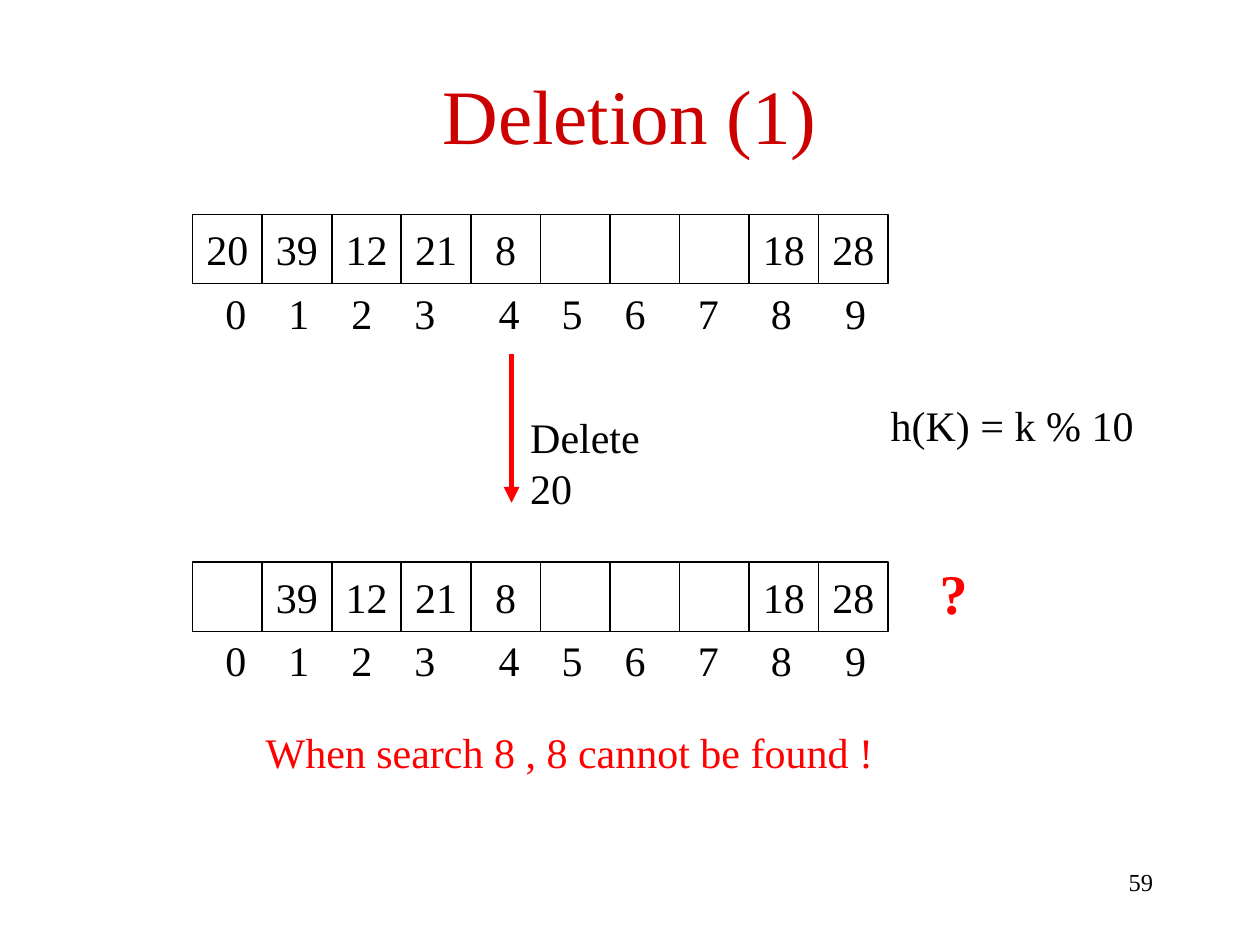
from pptx import Presentation
from pptx.dml.color import RGBColor
from pptx.enum.shapes import MSO_CONNECTOR as Link, MSO_SHAPE as Shape
from pptx.enum.text import MSO_ANCHOR as Anchor, PP_ALIGN as Align
from pptx.oxml.ns import qn
from pptx.util import Inches, Pt
from lxml.etree import SubElement

BLACK = RGBColor(0, 0, 0)
WHITE = RGBColor(255, 255, 255)
RED = RGBColor(255, 0, 0)
CRIMSON = RGBColor(204, 0, 0)
FONT = "Times New Roman"
CELL = 0.55
PITCH = 0.552
LEFT = 1.53
TABS = [0.5, 1, 1.5, 2.17, 2.67, 3.17, 3.75, 4.33, 4.92]


def write(shape, text, size=24, color=BLACK, bold=False, align=Align.LEFT,
          anchor=Anchor.TOP, wrap=False, tabs=()):
    frame = shape.text_frame
    frame.word_wrap = wrap
    frame.vertical_anchor = anchor
    frame.text = text
    para = frame.paragraphs[0]
    para.alignment = align
    if tabs:
        stops = SubElement(para._p.get_or_add_pPr(), qn("a:tabLst"))
        for pos in tabs:
            SubElement(stops, qn("a:tab"), pos=str(Inches(pos)), algn="l")
    font = para.runs[0].font
    font.name, font.size, font.bold = FONT, Pt(size), bold
    font.color.rgb = color


def add_box(left, top, width, height):
    return slide.shapes.add_textbox(
        Inches(left), Inches(top), Inches(width), Inches(height))


deck = Presentation()
deck.slide_width, deck.slide_height = Inches(10), Inches(7.5)
slide = deck.slides.add_slide(deck.slide_layouts[5])

title = slide.shapes.title
title.left, title.top = Inches(0.5), Inches(0.4)
title.width, title.height = Inches(9), Inches(1)
write(title, "Deletion (1)", size=44, color=CRIMSON, align=Align.CENTER,
      anchor=Anchor.MIDDLE, wrap=True)

# Hash table before and after the deletion
rest = ["39", "12", "21", "8", "", "", "", "18", "28"]
for top, keys in [(1.7, ["20"] + rest), (4.46, [""] + rest)]:
    for col, key in enumerate(keys):
        cell = slide.shapes.add_shape(
            Shape.RECTANGLE, Inches(LEFT + col * PITCH), Inches(top),
            Inches(CELL), Inches(CELL))
        cell.shadow.inherit = False
        cell.fill.solid()
        cell.fill.fore_color.rgb = WHITE
        cell.line.color.rgb = BLACK
        cell.line.width = Pt(0.75)
        if key:
            write(cell, key, align=Align.CENTER, anchor=Anchor.MIDDLE)
    index = add_box(1.69, top + 0.53, 5.7, 0.5)
    write(index, "\t".join(str(n) for n in range(10)), wrap=True, tabs=TABS)

arrow = slide.shapes.add_connector(
    Link.STRAIGHT, Inches(4.06), Inches(2.81), Inches(4.06), Inches(3.99))
arrow.line.color.rgb = RED
arrow.line.width = Pt(3)
SubElement(arrow.line._get_or_add_ln(), qn("a:tailEnd"), type="triangle")
SubElement(arrow._element.spPr, qn("a:effectLst"))

write(add_box(4.11, 3.22, 1.48, 0.5), "Delete 20")
write(add_box(2.01, 5.72, 5.02, 0.5), "When search 8 , 8 cannot be found !",
      color=RED)
write(add_box(7.36, 4.38, 0.42, 0.64), "?", size=32, color=RED, bold=True)
write(add_box(6.97, 3.12, 2.13, 0.5), "h(K) = k % 10")
write(add_box(7.17, 6.83, 2.08, 0.5), "59", size=14, align=Align.RIGHT,
      wrap=True)

deck.save("out.pptx")
